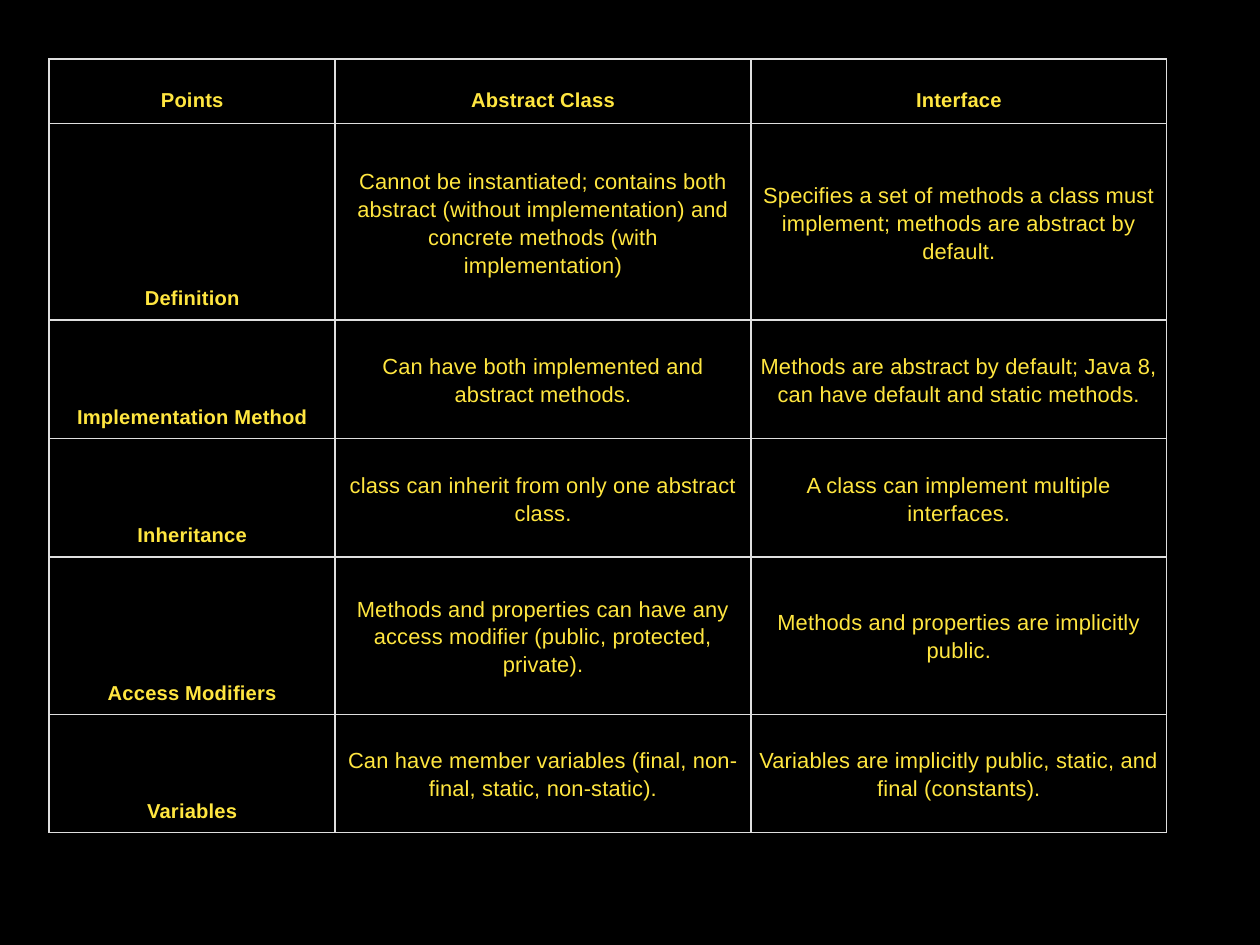
from lxml.etree import SubElement
from pptx import Presentation
from pptx.dml.color import RGBColor
from pptx.enum.text import MSO_ANCHOR as Anchor, PP_ALIGN as Align
from pptx.oxml import parse_xml
from pptx.oxml.ns import nsdecls, qn
from pptx.util import Inches, Pt

BLACK, YELLOW, GRID = "000000", "FFE640", "DFDFDF"


def paint(fill, color):
    fill.solid()
    fill.fore_color.rgb = RGBColor.from_string(color)


def add_borders(cell, color, width):
    # Border lines come before the fill in the cell properties
    properties = cell._tc.get_or_add_tcPr()
    for position, side in enumerate(("lnL", "lnR", "lnT", "lnB")):
        properties.insert(position, parse_xml(
            f'<a:{side} {nsdecls("a")} w="{Pt(width)}"><a:solidFill>'
            f'<a:srgbClr val="{color}"/></a:solidFill></a:{side}>'))


comparison = [
    ("Points", "Abstract Class", "Interface"),
    ("Definition",
     "Cannot be instantiated; contains both abstract (without implementation) "
     "and concrete methods (with implementation)",
     "Specifies a set of methods a class must implement; methods are abstract by default."),
    ("Implementation Method",
     "Can have both implemented and abstract methods.",
     "Methods are abstract by default; Java 8, can have default and static methods."),
    ("Inheritance",
     "class can inherit from only one abstract class.",
     "A class can implement multiple interfaces."),
    ("Access Modifiers",
     "Methods and properties can have any access modifier (public, protected, private).",
     "Methods and properties are implicitly public."),
    ("Variables",
     "Can have member variables (final, non-final, static, non-static).",
     "Variables are implicitly public, static, and final (constants)."),
]
column_widths = [2.27, 3.3, 3.3]
row_heights = [0.51, 1.56, 0.94, 0.94, 1.25, 0.94]

# Side and top/bottom margins of each column
header_margins = [(0.04, 0.09), (0.09, 0.09), (0, 0.09)]
body_margins = [(0.04, 0.08), (0.09, 0.12), (0.04, 0.08)]

# Slide with a black background
prs = Presentation()
prs.slide_width, prs.slide_height = Inches(10), Inches(7.5)
slide = prs.slides.add_slide(prs.slide_layouts[6])
paint(slide.background.fill, BLACK)

# Comparison table
table = slide.shapes.add_table(
    len(row_heights), len(column_widths), Inches(0.39), Inches(0.47),
    Inches(sum(column_widths)), Inches(sum(row_heights))).table
table.horz_banding = False
for column, width in zip(table.columns, column_widths):
    column.width = Inches(width)
for row, height in zip(table.rows, row_heights):
    row.height = Inches(height)

# Cells: bold labels sit at the bottom, descriptions in the middle
for r, entries in enumerate(comparison):
    for c, entry in enumerate(entries):
        is_label = r == 0 or c == 0
        side, end = (body_margins if r else header_margins)[c]
        cell = table.cell(r, c)
        cell.margin_left = cell.margin_right = Inches(side)
        cell.margin_top = cell.margin_bottom = Inches(end)
        cell.vertical_anchor = Anchor.BOTTOM if is_label else Anchor.MIDDLE
        paint(cell.fill, BLACK)
        add_borders(cell, GRID, 1)

        paragraph = cell.text_frame.paragraphs[0]
        paragraph.text = entry
        paragraph.alignment = Align.CENTER
        paragraph.line_spacing = 1.15
        font = paragraph.runs[0].font
        font.name = "Arial"
        font.size = Pt(11.5 if is_label else 12.5)
        font.bold = is_label
        paint(font.fill, YELLOW)
        # Letter spacing of 0.1 pt
        paragraph.runs[0]._r.get_or_add_rPr().set("spc", "10")

prs.save("out.pptx")
